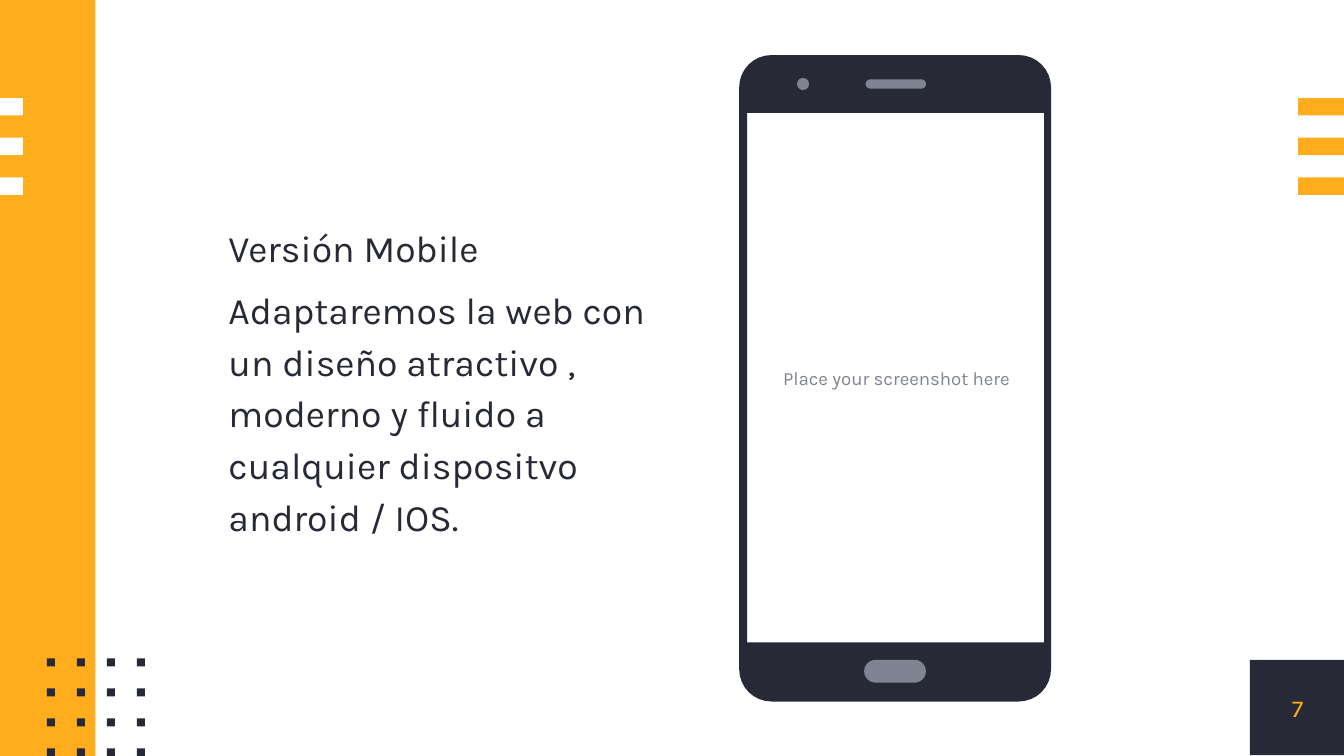
from math import cos, pi, sin

from lxml import etree
from pptx import Presentation
from pptx.dml.color import RGBColor
from pptx.enum import shapes, text
from pptx.oxml import ns
from pptx.util import Inches, Pt

# Content
BODY = [
    "Versión Mobile",
    "Adaptaremos la web con un diseño atractivo , moderno y fluido a "
    "cualquier dispositvo android / IOS.",
]
SCREEN_NOTE = "Place your screenshot here"
PAGE_NUMBER = "7"

# Style
FONT = "Karla"
DARK, ORANGE, GREY, WHITE = "272A36", "FFAD1D", "808392", "FFFFFF"
RECT = shapes.MSO_SHAPE.RECTANGLE
ROUND = shapes.MSO_SHAPE.ROUNDED_RECTANGLE
OVAL = shapes.MSO_SHAPE.OVAL

# Layout: a 16:9 page; areas are left, top, width, height
PAGE_WIDTH = 10
PAGE_HEIGHT = PAGE_WIDTH * 9 / 16
NUMBER_AREA = (9.3, 4.91, 0.71, 0.71)
BODY_AREA = (1.7, 0.41, 3.11, 4.81)
NOTE_AREA = (5.57, 0.86, 2.2, 3.91)
PHONE = (5.5, 0.41, 2.32, 4.81)
SCREEN = (5.56, 0.84, 2.21, 3.94)
CORNER = 0.24
PHONE_PARTS = [
    (ROUND, (6.43, 4.91, 0.46, 0.17)),  # home button
    (OVAL, (5.93, 0.58, 0.09, 0.09)),   # camera
    (ROUND, (6.44, 0.59, 0.45, 0.07)),  # speaker
]


def paint(shape, color):
    shape.shadow.inherit = False
    shape.fill.solid()
    shape.fill.fore_color.rgb = RGBColor.from_string(color)
    shape.line.fill.background()


def add_block(page, kind, area, color):
    shape = page.shapes.add_shape(kind, *map(Inches, area))
    if kind == ROUND:
        shape.adjustments[0] = 0.5
    paint(shape, color)


def format_font(para, size, color):
    para.font.name = FONT
    para.font.size = Pt(size)
    para.font.color.rgb = RGBColor.from_string(color)


def format_frame(frame, inset):
    frame.word_wrap = True
    frame.auto_size = text.MSO_AUTO_SIZE.NONE
    frame.vertical_anchor = text.MSO_ANCHOR.MIDDLE
    frame.margin_left = frame.margin_right = Inches(inset)
    frame.margin_top = frame.margin_bottom = Inches(inset)


def add_label(page, words, area, size, color, inset):
    box = page.shapes.add_textbox(*map(Inches, area))
    format_frame(box.text_frame, inset)
    para = box.text_frame.paragraphs[0]
    para.text = words
    para.alignment = text.PP_ALIGN.CENTER
    format_font(para, size, color)


def rounded_outline(area, radius, steps=8):
    left, top, width, height = area
    right, bottom = left + width - radius, top + height - radius
    centers = [(right, bottom), (left + radius, bottom),
               (left + radius, top + radius), (right, top + radius)]
    points = []
    for quarter, (x, y) in enumerate(centers):
        for step in range(steps + 1):
            angle = (quarter + step / steps) * pi / 2
            points.append((Inches(x + radius * cos(angle)),
                           Inches(y + radius * sin(angle))))
    return points


def add_phone(page):
    # The screen is an opening in the case
    left, top, width, height = SCREEN
    right, bottom = left + width, top + height
    opening = [(Inches(x), Inches(y)) for x, y in
               [(right, top), (right, bottom), (left, bottom), (left, top)]]
    case = rounded_outline(PHONE, CORNER)
    builder = page.shapes.build_freeform(*opening[0])
    builder.add_line_segments(opening[1:], close=True)
    builder.move_to(*case[0])
    builder.add_line_segments(case[1:], close=True)
    paint(builder.convert_to_shape(), DARK)
    for kind, area in PHONE_PARTS:
        add_block(page, kind, area, GREY)


def add_decoration(page):
    add_block(page, RECT, NUMBER_AREA, DARK)
    add_block(page, RECT, (0, 0, 0.71, PAGE_HEIGHT), ORANGE)
    # Stripes on both edges
    for left, width, color in [(0, 0.17, WHITE), (9.66, 0.34, ORANGE)]:
        for row in range(3):
            add_block(page, RECT, (left, 0.73 + row * 0.295, width, 0.13), color)
    # Grid of dots
    for row in range(4):
        for column in range(4):
            area = (0.35 + column * 0.223, 4.9 + row * 0.223, 0.06, 0.06)
            add_block(page, RECT, area, DARK)


def fill_body(body):
    body.left, body.top, body.width, body.height = map(Inches, BODY_AREA)
    frame = body.text_frame
    format_frame(frame, 0)
    for index, words in enumerate(BODY):
        para = frame.add_paragraph() if index else frame.paragraphs[0]
        para.text = words
        para.line_spacing = 1.15
        para.space_before = Pt(6 if index else 0)
        props = para._p.get_or_add_pPr()
        props.set("marL", "0")
        props.set("indent", "0")
        etree.SubElement(props, ns.qn("a:buNone"))
        format_font(para, 20, DARK)


def main():
    deck = Presentation()
    deck.slide_width, deck.slide_height = Inches(PAGE_WIDTH), Inches(PAGE_HEIGHT)
    page = deck.slides.add_slide(deck.slide_layouts[1])
    title = page.shapes.title.element
    title.getparent().remove(title)

    add_decoration(page)
    fill_body(page.placeholders[1])
    add_label(page, SCREEN_NOTE, NOTE_AREA, 10, GREY, 0.1)
    add_label(page, PAGE_NUMBER, NUMBER_AREA, 13, ORANGE, 0)
    add_phone(page)
    deck.save("out.pptx")


if __name__ == "__main__":
    main()
